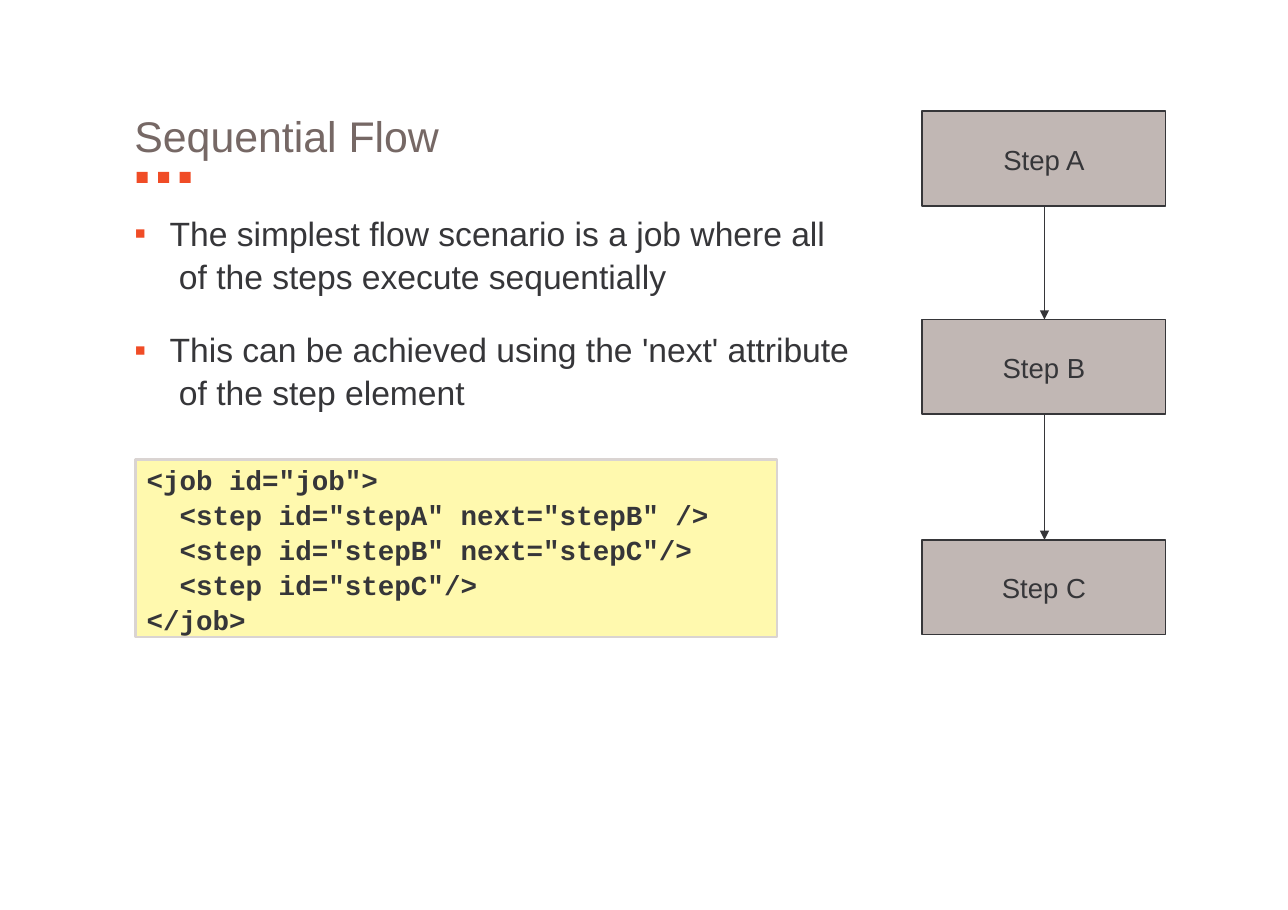
"""Build the Sequential Flow slide: bullets, a job definition and a chain of steps."""
from lxml import etree
from pptx import Presentation
from pptx.dml.color import RGBColor
from pptx.enum import shapes, text
from pptx.oxml import ns
from pptx.util import Inches, Pt

INK, ORANGE = "363639", "F04C26"


def color(value):
    return RGBColor.from_string(value)


def set_up(shape, anchor=text.MSO_ANCHOR.TOP):
    frame = shape.text_frame
    frame.word_wrap = True
    frame.vertical_anchor = anchor
    frame.margin_left = frame.margin_right = frame.margin_bottom = 0
    frame.margin_top = Inches(0.01)
    return frame


presentation = Presentation()
presentation.slide_width, presentation.slide_height = Inches(11.69), Inches(8.26)
slide = presentation.slides.add_slide(presentation.slide_layouts[6])

for index in range(3):
    square = slide.shapes.add_shape(
        shapes.MSO_SHAPE.RECTANGLE, Inches(1.24 + index * 0.195), Inches(1.56), Inches(0.1), Inches(0.1))
    square.shadow.inherit = False
    square.fill.solid()
    square.fill.fore_color.rgb = color(ORANGE)
    square.line.fill.background()

title = slide.shapes.add_textbox(Inches(1.22), Inches(0.96), Inches(3), Inches(0.49))
paragraph = set_up(title).paragraphs[0]
paragraph.text = "Sequential Flow"
paragraph.line_spacing = 1.06
paragraph.space_before = Pt(0.9)
paragraph.font.name, paragraph.font.size = "Arial", Pt(28)
paragraph.font.color.rgb = color("766865")

bullets = [
    ("The simplest flow scenario is a job where all\v of the steps execute sequentially", 0.9),
    ("This can be achieved using the 'next' attribute\v of the step element", 20.2),
]
body = slide.shapes.add_textbox(Inches(1.21), Inches(1.9), Inches(6.53), Inches(1.79))
frame = set_up(body)
for index, (wording, space_before) in enumerate(bullets):
    paragraph = frame.add_paragraph() if index else frame.paragraphs[0]
    paragraph.text = wording
    paragraph.line_spacing = 1.06
    paragraph.space_before = Pt(space_before)
    paragraph.font.name, paragraph.font.size = "Arial", Pt(22)
    paragraph.font.color.rgb = color(INK)
    properties = paragraph._p.get_or_add_pPr()
    properties.set("marL", str(Inches(0.33)))
    properties.set("indent", str(-Inches(0.32)))
    bullet_color = etree.Element(ns.qn("a:buClr"))
    etree.SubElement(bullet_color, ns.qn("a:srgbClr"), val=ORANGE)
    bullet_font = etree.Element(ns.qn("a:buFont"), typeface="Arial")
    bullet = etree.Element(ns.qn("a:buChar"), char="▪")
    defaults = properties.find(ns.qn("a:defRPr"))
    for element in (bullet_color, bullet_font, bullet):
        defaults.addprevious(element)

code_lines = [
    ('<job id="job">', 0.1),
    ('<step id="stepA" next="stepB" />', 0.4),
    ('<step id="stepB" next="stepC"/>', 0.4),
    ('<step id="stepC"/>', 0.4),
    ("</job>", 0.1),
]
code_box = slide.shapes.add_shape(
    shapes.MSO_SHAPE.RECTANGLE, Inches(1.23), Inches(4.17), Inches(5.82), Inches(1.61))
code_box.shadow.inherit = False
code_box.fill.solid()
code_box.fill.fore_color.rgb = color("FFF9AE")
code_box.line.color.rgb = color("DAD4D2")
code_box.line.width = Pt(1.5)
frame = set_up(code_box)
for index, (wording, indent) in enumerate(code_lines):
    paragraph = frame.add_paragraph() if index else frame.paragraphs[0]
    paragraph.text = wording
    paragraph.alignment = text.PP_ALIGN.LEFT
    paragraph.line_spacing = 1.06
    paragraph.space_before = Pt(0 if index else 1)
    paragraph.font.name, paragraph.font.size = "Courier New", Pt(18)
    paragraph.font.bold = True
    paragraph.font.color.rgb = color(INK)
    paragraph._p.get_or_add_pPr().set("marL", str(Inches(indent)))

step_height, center = 0.86, 9.48
steps = [("Step A", 1.01), ("Step B", 2.9), ("Step C", 4.9)]
for label, top in steps:
    step = slide.shapes.add_shape(
        shapes.MSO_SHAPE.RECTANGLE, Inches(8.37), Inches(top), Inches(2.21), Inches(step_height))
    step.shadow.inherit = False
    step.fill.solid()
    step.fill.fore_color.rgb = color("C1B7B4")
    step.line.color.rgb = color(INK)
    step.line.width = Pt(1)
    paragraph = set_up(step, text.MSO_ANCHOR.MIDDLE).paragraphs[0]
    paragraph.text = label
    paragraph.alignment = text.PP_ALIGN.CENTER
    paragraph.font.name, paragraph.font.size = "Arial", Pt(18)
    paragraph.font.color.rgb = color(INK)

for (_, upper_top), (_, lower_top) in zip(steps, steps[1:]):
    arrow = slide.shapes.add_connector(
        shapes.MSO_CONNECTOR.STRAIGHT, Inches(center), Inches(upper_top + step_height),
        Inches(center), Inches(lower_top))
    arrow.line.color.rgb = color(INK)
    arrow.line.width = Pt(1)
    etree.SubElement(arrow.line._get_or_add_ln(), ns.qn("a:tailEnd"), type="triangle", w="med", len="med")
    etree.SubElement(arrow._element.spPr, ns.qn("a:effectLst"))

presentation.save("out.pptx")
